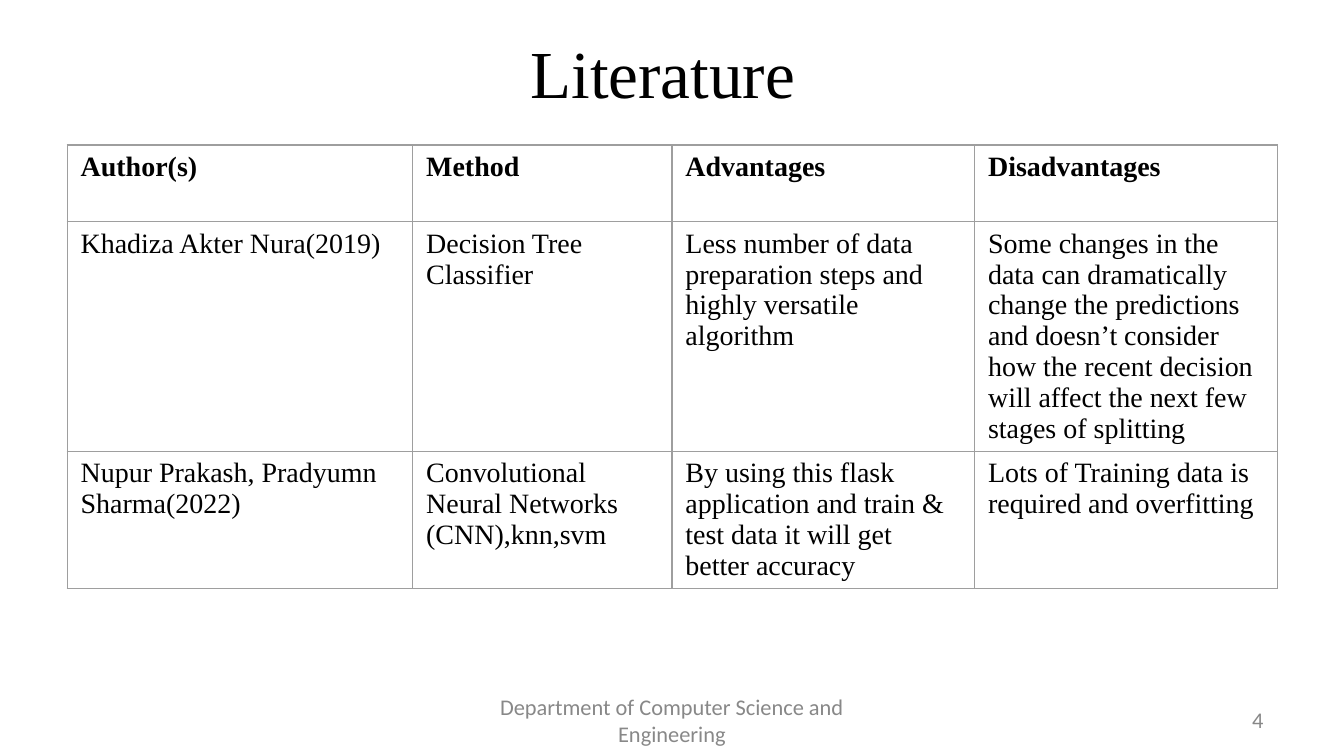
from lxml.etree import SubElement
from pptx import Presentation
from pptx.dml.color import RGBColor
from pptx.enum.text import MSO_ANCHOR as ANCHOR, PP_ALIGN as ALIGN
from pptx.oxml.ns import qn
from pptx.util import Cm, Pt

SERIF, SANS = "Times New Roman", "Calibri"
BLACK, GREY, BORDER = "000000", "888888", "9E9E9E"

TITLE = "Literature "
ROWS = [
    ("Author(s)", "Method", "Advantages", "Disadvantages"),
    ("Khadiza Akter Nura(2019)",
     "Decision Tree Classifier",
     "Less number of data preparation steps and highly versatile algorithm",
     "Some changes in the data can dramatically change the predictions and "
     "doesn’t consider how the recent decision will affect the next few "
     "stages of splitting"),
    ("Nupur Prakash, Pradyumn Sharma(2022)",
     "Convolutional Neural Networks\n(CNN),knn,svm",
     "By using this flask application and train & test data it will get better accuracy",
     "Lots of Training data is required and overfitting"),
]
COL_WIDTHS = (6.53, 4.9, 5.72, 5.72)
ROW_HEIGHT = 1.45
FOOTERS = [
    ("Department of Computer Science and Engineering", 8.68, 8.04, ALIGN.CENTER),
    ("4", 18.2, 5.93, ALIGN.RIGHT),
]


def rgb(color):
    return RGBColor.from_string(color)


def format_text(tf, font, size, color, align=ALIGN.LEFT, bold=False):
    for p in tf.paragraphs:
        p.alignment = align
        for r in p.runs:
            r.font.name = font
            r.font.size = Pt(size)
            r.font.bold = bold
            r.font.color.rgb = rgb(color)


def add_borders(cell):
    tc_pr = cell._tc.get_or_add_tcPr()
    for i, side in enumerate(("lnL", "lnR", "lnT", "lnB")):
        ln = tc_pr.makeelement(qn(f"a:{side}"), {"w": str(Pt(0.75))})
        fill = SubElement(ln, qn("a:solidFill"))
        SubElement(fill, qn("a:srgbClr"), val=BORDER)
        tc_pr.insert(i, ln)


def add_title(slide):
    sp = slide.shapes.title
    sp.left, sp.top, sp.width, sp.height = Cm(4.19), Cm(0.48), Cm(17), Cm(1.75)
    tf = sp.text_frame
    tf.text = TITLE
    tf.vertical_anchor = ANCHOR.MIDDLE
    format_text(tf, SERIF, 36, BLACK, ALIGN.CENTER)


def add_literature_table(slide):
    frame = slide.shapes.add_table(
        len(ROWS), len(COL_WIDTHS), Cm(1.27), Cm(2.74),
        Cm(sum(COL_WIDTHS)), Cm(ROW_HEIGHT * len(ROWS)))
    table = frame.table
    table.horz_banding = False
    for column, width in zip(table.columns, COL_WIDTHS):
        column.width = Cm(width)
    for i, row in enumerate(ROWS):
        for j, text in enumerate(row):
            cell = table.cell(i, j)
            cell.text_frame.text = text
            cell.fill.background()
            add_borders(cell)
            format_text(cell.text_frame, SERIF, 15, BLACK, bold=i == 0)


def add_footers(slide):
    for text, left, width, align in FOOTERS:
        sp = slide.shapes.add_textbox(Cm(left), Cm(13.23), Cm(width), Cm(0.76))
        tf = sp.text_frame
        tf.word_wrap = True
        tf.vertical_anchor = ANCHOR.MIDDLE
        tf.text = text
        format_text(tf, SANS, 12, GREY, align)


def main():
    prs = Presentation()
    prs.slide_width, prs.slide_height = Cm(25.4), Cm(14.29)
    slide = prs.slides.add_slide(prs.slide_layouts[5])
    add_title(slide)
    add_literature_table(slide)
    add_footers(slide)
    prs.save("out.pptx")


if __name__ == "__main__":
    main()
